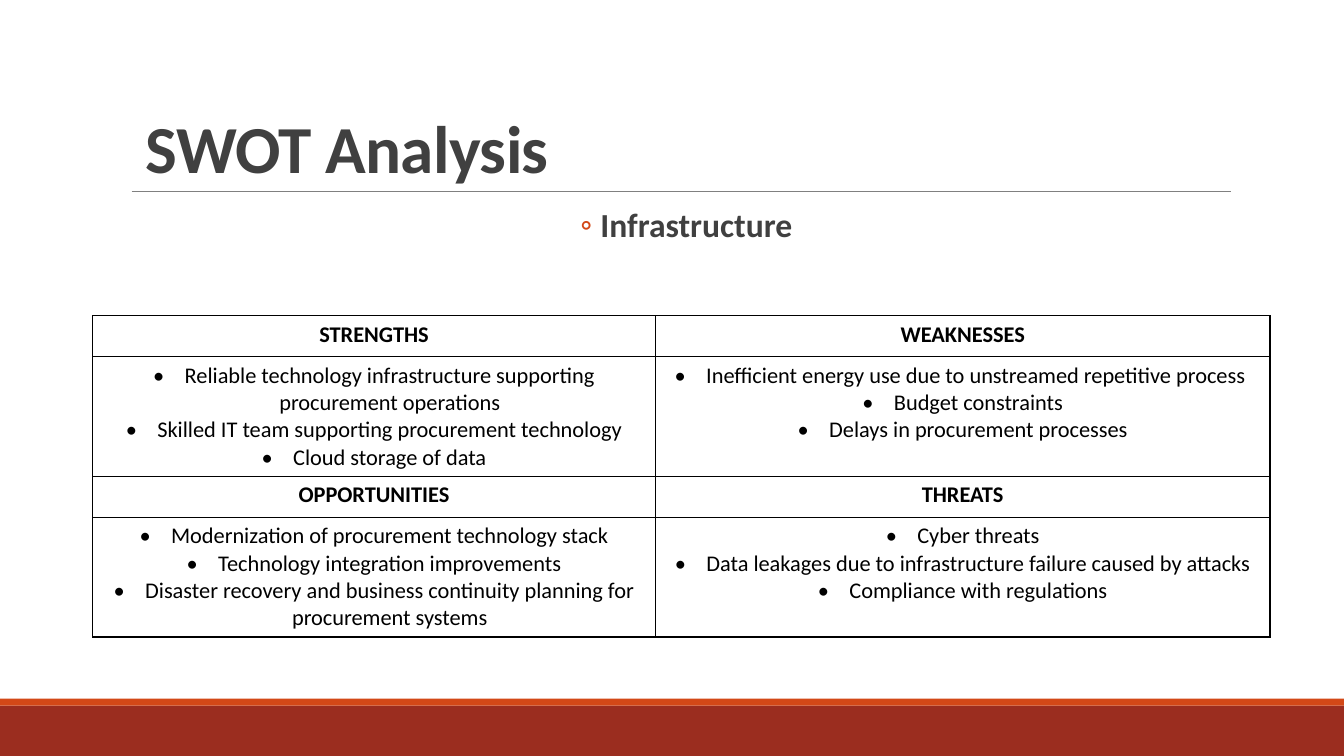
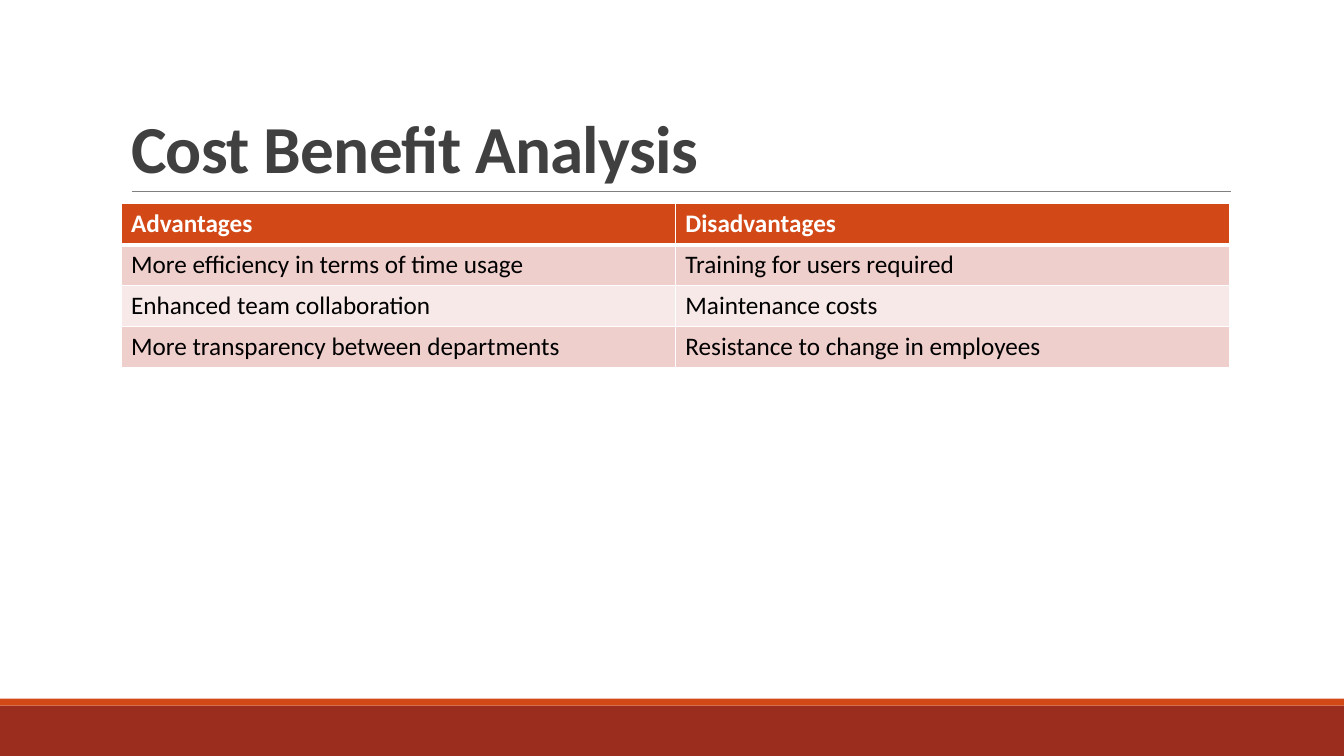
import pptx
import pptx.util
import pptx.dml.color
import pptx.enum.shapes
import pptx.enum.text
import pptx.oxml.ns
from lxml import etree

Pt = pptx.util.Pt
RGB = pptx.dml.color.RGBColor
Align = pptx.enum.text.PP_ALIGN
Anchor = pptx.enum.text.MSO_ANCHOR
Shape = pptx.enum.shapes.MSO_SHAPE
Line = pptx.enum.shapes.MSO_CONNECTOR
qn = pptx.oxml.ns.qn

BLACK = RGB(0, 0, 0)
WHITE = RGB(255, 255, 255)
DARK = RGB(0x40, 0x40, 0x40)
GRAY = RGB(0x80, 0x80, 0x80)
RUST = RGB(0x9B, 0x2D, 0x1F)
ORANGE = RGB(0xD3, 0x48, 0x17)
ROSE = RGB(0xEF, 0xCF, 0xCC)
PALE = RGB(0xF7, 0xE9, 0xE8)

WIDE, HIGH = 960, 540
LEFT, SPAN = 86.4, 792
TOP = 145.6
ROW = 29.3
BANDS = [(504, 36, RUST), (499, 5, ORANGE)]

SWOT = [
    (["STRENGTHS"], ["WEAKNESSES"]),
    (
        [
            "Reliable technology infrastructure supporting procurement operations",
            "Skilled IT team supporting procurement technology",
            "Cloud storage of data",
        ],
        [
            "Inefficient energy use due to unstreamed repetitive process ",
            "Budget constraints",
            "Delays in procurement processes",
        ],
    ),
    (["OPPORTUNITIES"], ["THREATS"]),
    (
        [
            "Modernization of procurement technology stack",
            "Technology integration improvements",
            "Disaster recovery and business continuity planning for procurement systems",
        ],
        [
            "Cyber threats",
            "Data leakages due to infrastructure failure caused by attacks",
            "Compliance with regulations",
        ],
    ),
]

COSTS = [
    ("Advantages", "Disadvantages"),
    ("More efficiency in terms of time usage", "Training for users required"),
    ("Enhanced team collaboration", "Maintenance costs"),
    ("More transparency between departments", "Resistance to change in employees"),
]

HEAD = {"size": Pt(48), "bold": True, "name": "Calibri"}
SUB = {"size": Pt(24), "bold": True, "name": "Calibri"}
CELL = {"size": Pt(16), "name": "Calibri"}
COST = {"size": Pt(18), "name": "Calibri"}


def apply(item, form):
    for key, value in form.items():
        setattr(item, key, value)


def write(par, text, font, color, **form):
    run = par.add_run()
    run.text = text
    apply(run.font, font)
    run.font.color.rgb = color
    apply(par, form)
    return run


def bullet(par, mark, left, hang, color=None):
    props = par._p.get_or_add_pPr()
    props.set("marL", str(Pt(left)))
    props.set("indent", str(-Pt(hang)))
    if color:
        tint = etree.SubElement(props, qn("a:buClr"))
        etree.SubElement(tint, qn("a:srgbClr"), val=str(color))
    etree.SubElement(props, qn("a:buFont"), typeface="Calibri")
    etree.SubElement(props, qn("a:buChar"), char=mark)


def place(item, left, top, width, height):
    apply(item, {"left": Pt(left), "top": Pt(top), "width": Pt(width), "height": Pt(height)})


def border(cell, color, top=1, bottom=1):
    props = cell._tc.get_or_add_tcPr()
    for side, size in (("L", 1), ("R", 1), ("T", top), ("B", bottom)):
        edge = etree.SubElement(props, qn("a:ln" + side), w=str(Pt(size)))
        fill = etree.SubElement(edge, qn("a:solidFill"))
        etree.SubElement(fill, qn("a:srgbClr"), val=str(color))


def start(deck, layout, title):
    slide = deck.slides.add_slide(deck.slide_layouts[layout])
    for top, height, color in BANDS:
        band = slide.shapes.add_shape(Shape.RECTANGLE, 0, Pt(top), Pt(WIDE), Pt(height))
        band.shadow.inherit = False
        band.fill.solid()
        band.fill.fore_color.rgb = color
        band.line.fill.background()
    rule = slide.shapes.add_connector(Line.STRAIGHT, Pt(94), Pt(136.6), Pt(879), Pt(136.6))
    rule.line.color.rgb = GRAY
    rule.line.width = Pt(0.5)
    etree.SubElement(rule._element.spPr, qn("a:effectLst"))
    head = slide.shapes.title
    place(head, LEFT, 22.5, SPAN, 114.5)
    apply(head.text_frame, {
        "vertical_anchor": Anchor.BOTTOM,
        "auto_size": pptx.enum.text.MSO_AUTO_SIZE.NONE,
    })
    run = write(head.text_frame.paragraphs[0], title, HEAD, DARK,
                alignment=Align.LEFT, line_spacing=0.85)
    run._r.get_or_add_rPr().set("spc", "-50")
    return slide


def grid(slide, left, top, cols, rows):
    frame = slide.shapes.add_table(len(rows), len(cols), Pt(left), Pt(top),
                                   Pt(sum(cols)), Pt(sum(rows)))
    table = frame.table
    for col, width in zip(table.columns, cols):
        col.width = Pt(width)
    for row, height in zip(table.rows, rows):
        row.height = Pt(height)
    return table


def swot(deck):
    slide = start(deck, 1, " SWOT Analysis")
    body = slide.placeholders[1]
    place(body, LEFT, TOP, SPAN, 316.8)
    body.text_frame.auto_size = pptx.enum.text.MSO_AUTO_SIZE.NONE
    par = body.text_frame.paragraphs[0]
    write(par, "Infrastructure", SUB, DARK, alignment=Align.CENTER, level=1,
          line_spacing=0.9, space_before=Pt(2), space_after=Pt(4))
    bullet(par, "◦", 30.2, 14.4, ORANGE)
    table = grid(slide, 66.2, 225.5, [402, 439], [ROW, 85.3] * 2)
    apply(table, {"first_row": False, "horz_banding": False})
    for i, row in enumerate(SWOT):
        for j, lines in enumerate(row):
            cell = table.cell(i, j)
            border(cell, BLACK)
            cell.fill.background()
            text = cell.text_frame
            for k, line in enumerate(lines):
                par = text.add_paragraph() if k else text.paragraphs[0]
                write(par, line, CELL | {"bold": i % 2 == 0}, BLACK, alignment=Align.CENTER)
                if i % 2:
                    bullet(par, "•", 22.5, 22.5)


def costs(deck):
    slide = start(deck, 5, "Cost Benefit Analysis")
    table = grid(slide, LEFT, TOP, [SPAN / 2] * 2, [ROW] * len(COSTS))
    for i, row in enumerate(COSTS):
        for j, line in enumerate(row):
            cell = table.cell(i, j)
            border(cell, WHITE, top=3 if i == 1 else 1, bottom=1 if i else 3)
            cell.fill.solid()
            cell.fill.fore_color.rgb = (ROSE if i % 2 else PALE) if i else ORANGE
            write(cell.text_frame.paragraphs[0], line, COST | {"bold": i == 0},
                  BLACK if i else WHITE)


def main():
    deck = pptx.Presentation()
    apply(deck, {"slide_width": Pt(WIDE), "slide_height": Pt(HIGH)})
    swot(deck)
    costs(deck)
    deck.save("out.pptx")


if __name__ == "__main__":
    main()
